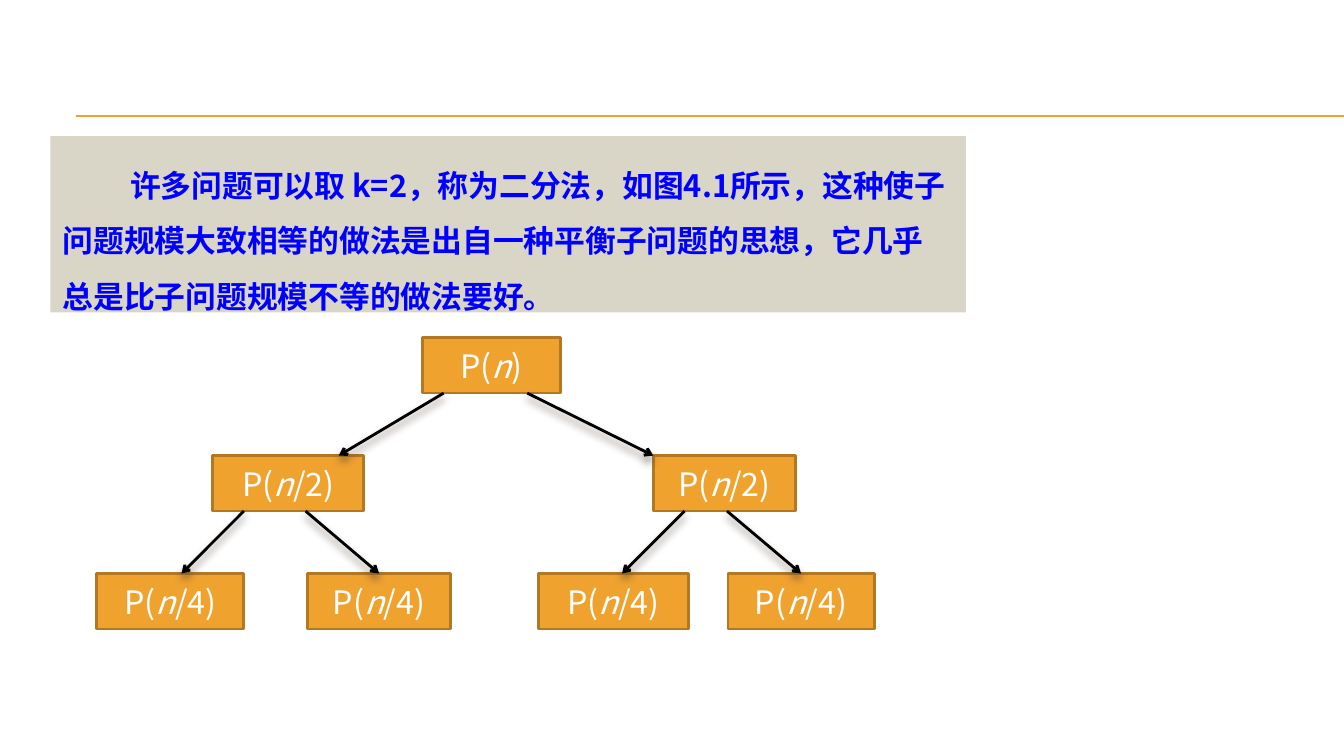
from dataclasses import dataclass

from lxml import etree
from pptx import Presentation
from pptx.dml.color import RGBColor as RGB
from pptx.enum.shapes import MSO_CONNECTOR as Link, MSO_SHAPE as Shape
from pptx.enum.text import MSO_ANCHOR as Anchor, PP_ALIGN as Align
from pptx.oxml import parse_xml
from pptx.oxml.ns import nsdecls, qn
from pptx.util import Inches, Pt


@dataclass(frozen=True)
class Theme:
    face: str = "Noto Sans CJK SC"
    gold: str = "F0A22E"
    edge: str = "B27822"
    sand: str = "D9D5C7"
    blue: str = "0000FF"
    white: str = "FFFFFF"
    black: str = "000000"
    shade: str = "4E3B30"
    body: int = 22
    label: int = 23


theme = Theme()
deck = Presentation()
deck.slide_width, deck.slide_height = Inches(13.33), Inches(7.5)
slide = deck.slides.add_slide(deck.slide_layouts[6])
shapes = slide.shapes


def write(para, text, size=theme.label, color=theme.white, bold=False, italic=False):
    """Append one formatted run to a paragraph."""
    run = para.add_run()
    run.text = text
    font = run.font
    font.name, font.size, font.bold, font.italic = theme.face, Pt(size), bold, italic
    font.color.rgb = RGB.from_string(color)
    etree.SubElement(font._element, qn("a:ea"), typeface=theme.face)


def draw(start, end, color, width, effect=""):
    """Add a straight line with the given effects, or none."""
    line = shapes.add_connector(Link.STRAIGHT, *map(Inches, start + end))
    line.line.color.rgb = RGB.from_string(color)
    line.line.width = Pt(width)
    line._element.spPr.append(
        parse_xml(f"<a:effectLst {nsdecls('a')}>{effect}</a:effectLst>"))
    return line


# Header rules
for y in (1.15, 1.16):
    draw((0.75, y), (13.33, y), theme.gold, 0.75)

# Explanation panel
panel = shapes.add_shape(Shape.RECTANGLE, *map(Inches, (0.5, 1.35, 9.08, 1.75)))
panel.shadow.inherit = False
panel.fill.solid()
panel.fill.fore_color.rgb = RGB.from_string(theme.sand)
panel.line.fill.background()
frame = panel.text_frame
frame.word_wrap = True
frame.vertical_anchor = Anchor.TOP
frame.margin_left = frame.margin_right = Inches(0.12)
frame.margin_top, frame.margin_bottom = Inches(0.12), Inches(0.06)
para = frame.paragraphs[0]
para.alignment = Align.LEFT
para.line_spacing = 1.5
para._p.get_or_add_pPr().set("indent", str(Inches(0.67)))
write(para, "许多问题可以取 k=2，称为二分法，如图4.1所示，这种使子问题规模大致相等的做法"
      "是出自一种平衡子问题的思想，它几乎总是比子问题规模不等的做法要好。",
      size=theme.body, color=theme.blue, bold=True)

# Tree nodes: each level holds its closing text and (left, width) pairs
levels = [
    (")", [(4.19, 1.37)]),
    ("/2)", [(2.11, 1.5), (6.48, 1.41)]),
    ("/4)", [(0.96, 1.46), (3.05, 1.42), (5.34, 1.49), (7.22, 1.45)]),
]
top, step, high = 3.35, 1.17, 0.55
tree = []
for depth, (tail, spots) in enumerate(levels):
    row = []
    for left, width in spots:
        node = shapes.add_shape(
            Shape.RECTANGLE, *map(Inches, (left, top + depth * step, width, high)))
        node.shadow.inherit = False
        node.fill.solid()
        node.fill.fore_color.rgb = RGB.from_string(theme.gold)
        node.line.color.rgb = RGB.from_string(theme.edge)
        node.line.width = Pt(2)
        node.text_frame.vertical_anchor = Anchor.MIDDLE
        para = node.text_frame.paragraphs[0]
        para.alignment = Align.CENTER
        write(para, "P(")
        write(para, "n", italic=True)
        write(para, tail)
        row.append(node)
    tree.append(row)

# Arrows: parent level, start x, end x, child joined at its top middle
arrows = [
    (0, 4.4, 3.36, None), (0, 5.23, 6.48, None),
    (1, 2.42, 1.8, None), (1, 3.03, 3.76, tree[2][1]),
    (1, 6.79, 6.17, None), (1, 7.21, 7.94, tree[2][3]),
]
shadow = (f'<a:outerShdw blurRad="{Pt(6)}" dist="{Pt(4)}" dir="5400000" rotWithShape="0">'
          f'<a:srgbClr val="{theme.shade}"><a:alpha val="60000"/></a:srgbClr></a:outerShdw>')
for depth, start, end, child in arrows:
    base = top + depth * step + high
    arrow = draw((start, base), (end, base + step - high), theme.black, 2, shadow)
    etree.SubElement(arrow.line._get_or_add_ln(), qn("a:tailEnd"), type="arrow")
    if child is not None:
        arrow.end_connect(child, 0)

deck.save("out.pptx")
